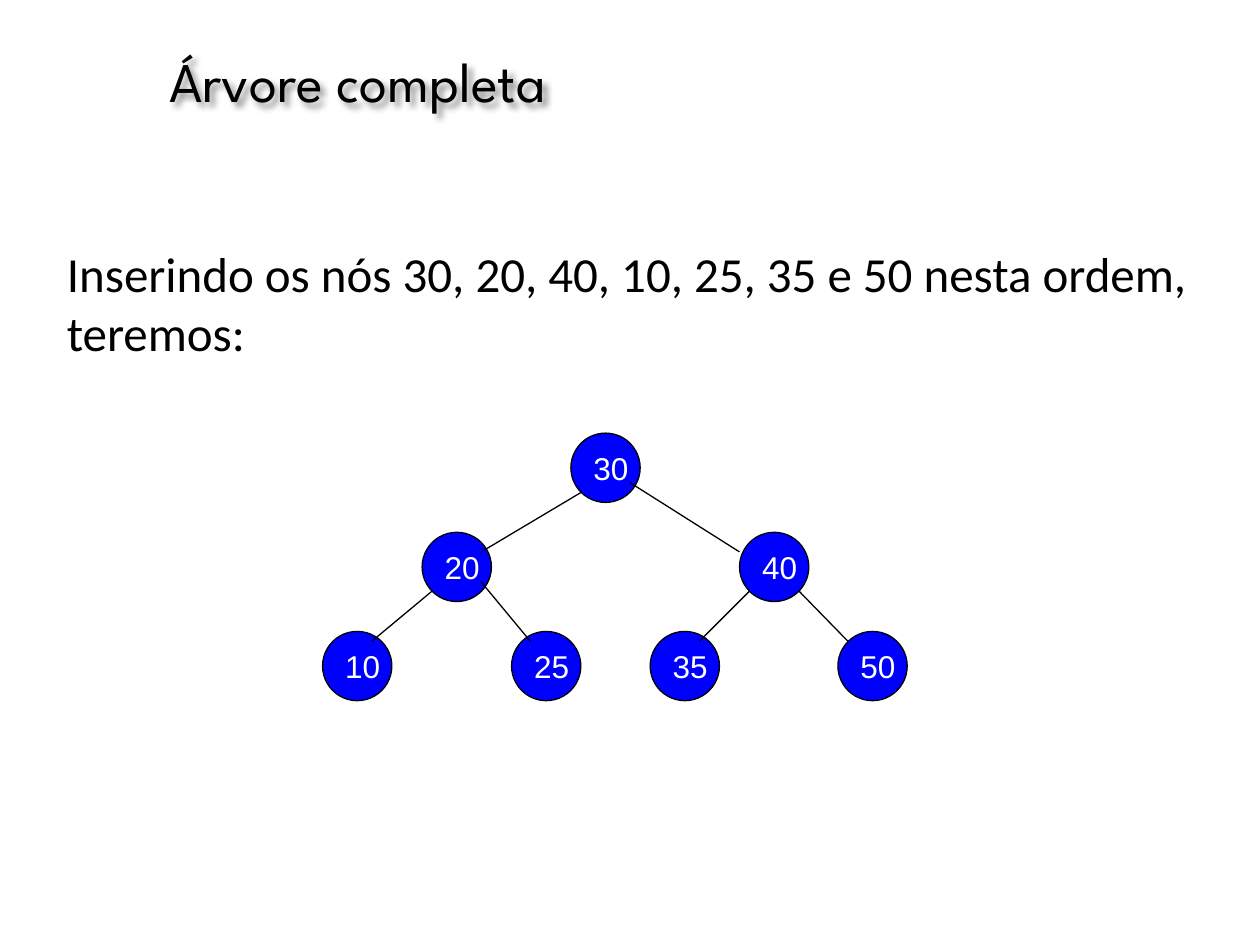
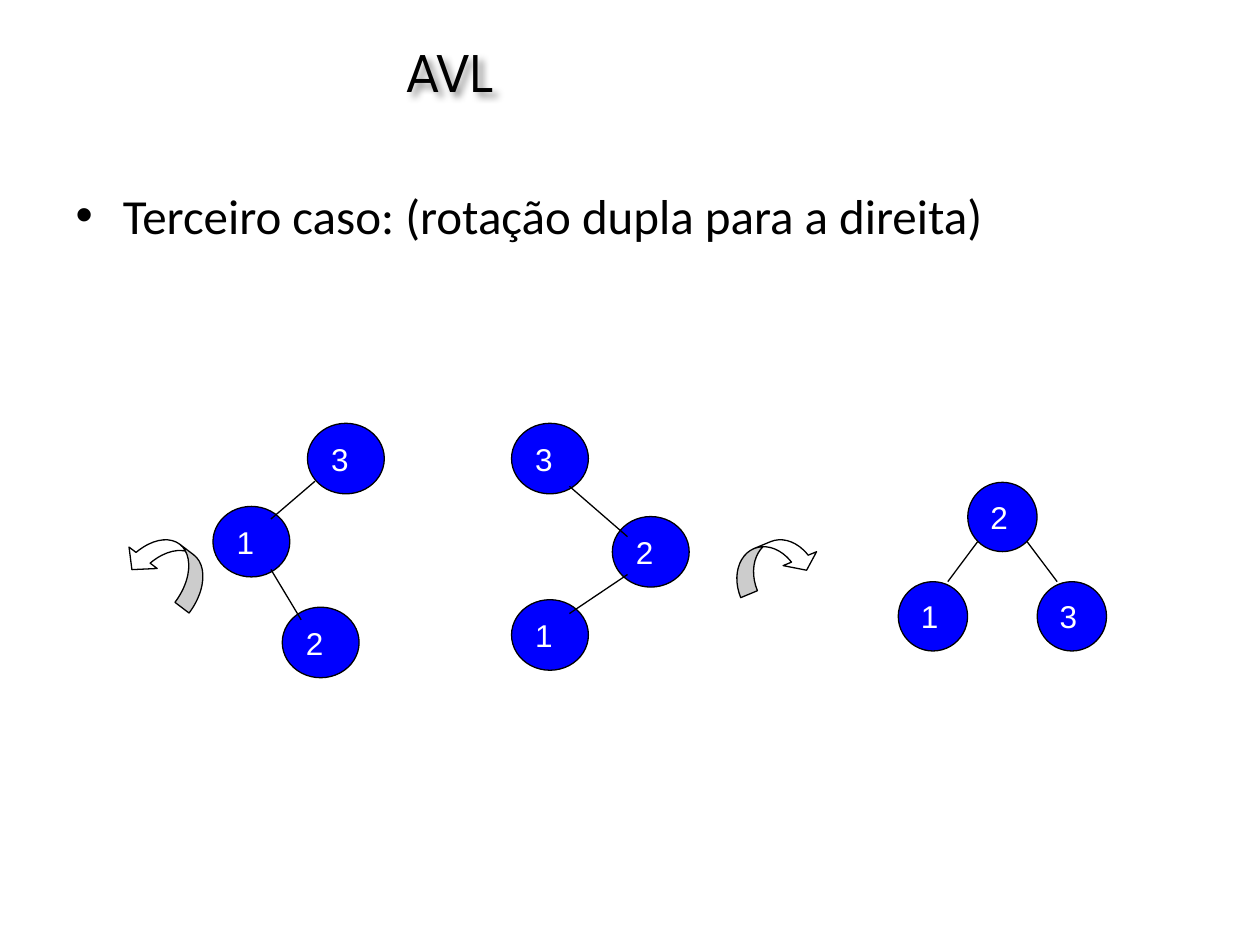
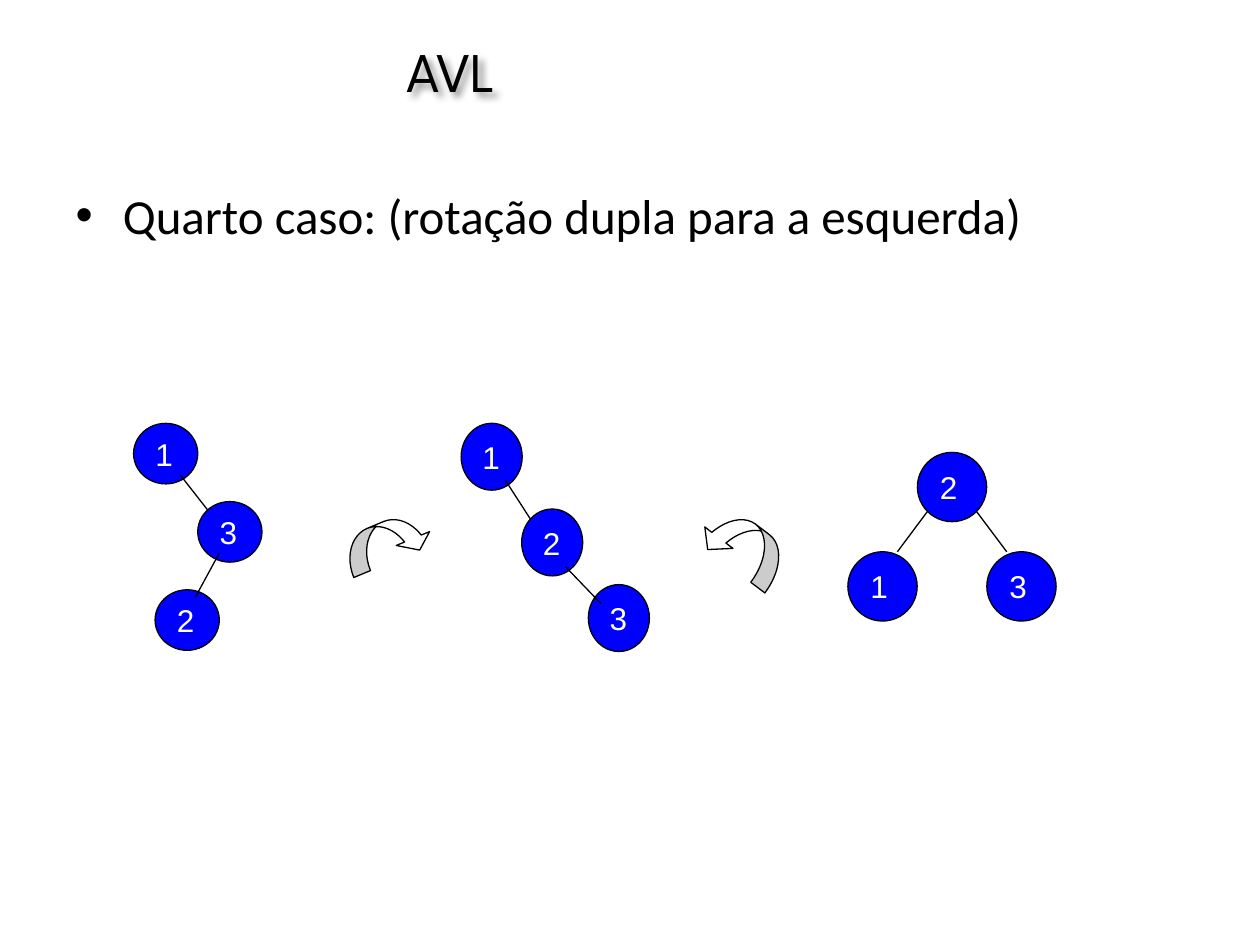
from lxml.etree import SubElement
from pptx import Presentation
from pptx.dml.color import RGBColor
from pptx.enum.shapes import MSO_CONNECTOR, MSO_SHAPE
from pptx.enum.text import MSO_ANCHOR, MSO_AUTO_SIZE, PP_ALIGN
from pptx.oxml.ns import qn
from pptx.util import Pt

COLORS = {"text": "000000", "line": "000000", "node": "0000FF",
          "label": "FFFFFF", "arrow": "FFFFFF", "shadow": "000000"}
FONTS = {"title": ("League Spartan", 32), "body": ("Calibri", 28),
         "label": ("Arial", 18)}
CIRCLE = (39.6, 39.6)


def rgb(name):
    """Return a named colour."""
    return RGBColor.from_string(COLORS[name])


class Deck:
    """Holds the presentation style and the current slide."""

    def __init__(self):
        """Start an empty 10 by 7.5 inch presentation."""
        self.prs = Presentation()
        self.prs.slide_width, self.prs.slide_height = Pt(720), Pt(540)

    def new_slide(self):
        """Add a title and content slide and make it current."""
        self.s = self.prs.slides.add_slide(self.prs.slide_layouts[1])

    def place(self, sp, box):
        """Move and size a shape."""
        sp.left, sp.top, sp.width, sp.height = map(Pt, box)

    def font(self, p, role, color):
        """Set the font of a paragraph."""
        name, size = FONTS[role]
        p.font.name, p.font.size = name, Pt(size)
        p.font.color.rgb = rgb(color)

    def title(self, text, box):
        """Fill the title placeholder, with a soft shadow."""
        sp = self.s.shapes.title
        self.place(sp, box)
        tf = sp.text_frame
        tf.text = text
        tf.auto_size = MSO_AUTO_SIZE.NONE
        tf.vertical_anchor = MSO_ANCHOR.BOTTOM
        p = tf.paragraphs[0]
        p.alignment = PP_ALIGN.CENTER
        self.font(p, "title", "text")
        effects = SubElement(sp._element.spPr, qn("a:effectLst"))
        shadow = SubElement(effects, qn("a:outerShdw"), blurRad=str(Pt(4)),
                            dist=str(Pt(3)), dir="2700000", algn="tl",
                            rotWithShape="0")
        color = SubElement(shadow, qn("a:srgbClr"), val=COLORS["shadow"])
        SubElement(color, qn("a:alpha"), val="43000")

    def body(self, text, box, bullet=True):
        """Fill the body placeholder with one paragraph."""
        sp = self.s.placeholders[1]
        self.place(sp, box)
        tf = sp.text_frame
        tf.text = text
        tf.auto_size = MSO_AUTO_SIZE.NONE
        p = tf.paragraphs[0]
        self.font(p, "body", "text")
        if not bullet:
            pPr = p._p.get_or_add_pPr()
            pPr.set("marL", "0")
            pPr.set("indent", "0")
            pPr.insert(0, pPr.makeelement(qn("a:buNone")))

    def shape(self, shapes, kind, box, fill):
        """Add a filled, outlined preset shape."""
        sp = shapes.add_shape(kind, *map(Pt, box))
        sp.shadow.inherit = False
        sp.fill.solid()
        sp.fill.fore_color.rgb = rgb(fill)
        sp.line.color.rgb = rgb("line")
        sp.line.width = Pt(0.75)
        return sp

    def node(self, shapes, label, x, y, size):
        """Add a labelled tree node."""
        sp = self.shape(shapes, MSO_SHAPE.OVAL, (x, y, *size), "node")
        tf = sp.text_frame
        tf.text = label
        tf.word_wrap = False
        tf.vertical_anchor = MSO_ANCHOR.MIDDLE
        p = tf.paragraphs[0]
        p.alignment = PP_ALIGN.LEFT
        self.font(p, "label", "label")

    def edge(self, shapes, points):
        """Add a line between two nodes."""
        c = shapes.add_connector(MSO_CONNECTOR.STRAIGHT, *map(Pt, points))
        c.line.color.rgb = rgb("line")
        c.line.width = Pt(0.75)
        SubElement(c._element.spPr, qn("a:effectLst"))

    def tree(self, nodes, edges, size=CIRCLE):
        """Add a group of nodes with their edges on top."""
        shapes = self.s.shapes.add_group_shape().shapes
        for label, x, y in nodes:
            self.node(shapes, label, x, y, size)
        for points in edges:
            self.edge(shapes, points)

    def balanced_tree(self, x, y):
        """Add the balanced tree 1, 2, 3 with its root at x, y."""
        dx, dy = 39.7, 56.8
        near, far, foot = 5.7, 33.9, 11.4
        self.tree([("2", x, y), ("1", x - dx, y + dy), ("3", x + dx, y + dy)],
                  [(x + near, y + far, x - foot, y + dy),
                   (x + far, y + far, x + dx + foot, y + dy)])

    def rotation_arrow(self, x, y, to_left):
        """Add a curved arrow showing the direction of a rotation."""
        kind, height, angle, adjustments = (
            (MSO_SHAPE.CURVED_UP_ARROW, 28.1, 217.2, (0.36, 0.72, 0.33))
            if to_left else
            (MSO_SHAPE.CURVED_DOWN_ARROW, 23, 337.4, (0.45, 0.9, 0.33)))
        sp = self.shape(self.s.shapes, kind, (x, y, 51.1, height), "arrow")
        sp.rotation = angle
        for i, value in enumerate(adjustments):
            sp.adjustments[i] = value

    def avl_case(self, text, body_height):
        """Start a slide about one AVL rotation case."""
        self.new_slide()
        self.title("AVL", (0, 2.2, 516.2, 60.5))
        self.body(text, (36, 102.2, 648, body_height))


def complete_tree(deck):
    """Build the slide with the complete tree."""
    deck.new_slide()
    deck.title("Árvore completa", (-119.5, 0, 648, 68.4))
    deck.body("Inserindo os nós 30, 20, 40, 10, 25, 35 e 50 nesta ordem, "
              "teremos:", (31, 135.4, 689, 95), bullet=False)
    levels = [[("30", 326.2)],
              [("20", 241.2), ("40", 422.6)],
              [("10", 184.3), ("25", 292.3), ("35", 371.5), ("50", 478.8)]]
    nodes = [(label, x, 247.5 + 56.65 * depth)
             for depth, level in enumerate(levels) for label, x in level]
    deck.tree(nodes, [(331.9, 281.5, 275, 315.4),
                      (360, 275.8, 422.6, 315.4),
                      (247, 337.7, 212.4, 366.5),
                      (275, 332.6, 303.1, 366.5),
                      (428.4, 337.7, 399.6, 366.5),
                      (456.5, 337.7, 484.6, 366.5)])


def third_case(deck):
    """Build the slide on the double rotation to the right."""
    deck.avl_case("Terceiro caso: (rotação dupla para a direita)", 153.4)
    size = (43.9, 40.3)
    deck.tree([("1", 121.7, 289.4), ("3", 175.7, 241.9), ("2", 161.3, 347)],
              [(180, 275, 154.8, 296.6), (154.8, 325.4, 172.1, 354.2)], size)
    deck.rotation_arrow(70.6, 309.6, to_left=True)
    deck.tree([("2", 349.9, 295.2), ("3", 292.3, 241.9), ("1", 292.3, 342.7)],
              [(325.4, 350.6, 358.6, 328.3), (325.4, 277.9, 358.6, 306.7)],
              size)
    deck.rotation_arrow(416.9, 309.6, to_left=False)
    deck.balanced_tree(553, 275.6)


def fourth_case(deck):
    """Build the slide on the double rotation to the left."""
    deck.avl_case("Quarto caso: (rotação dupla para a esquerda)", 166.3)
    deck.tree([("1", 76.3, 241.9), ("3", 113, 286.6), ("2", 88.6, 337)],
              [(103, 271.4, 118.8, 291.6), (111.6, 341.3, 125.3, 316.1)],
              (36.7, 34.6))
    deck.rotation_arrow(195.8, 298.1, to_left=False)
    deck.tree([("1", 263.5, 241.9), ("2", 298.1, 290.9), ("3", 336.2, 334.1)],
              [(288.7, 274.3, 303.1, 296.6), (323.3, 324, 343.4, 344.9)],
              (34.9, 38.2))
    deck.rotation_arrow(399.6, 298.1, to_left=True)
    deck.balanced_tree(524.2, 258.5)


deck = Deck()
complete_tree(deck)
third_case(deck)
fourth_case(deck)
deck.prs.save("out.pptx")
